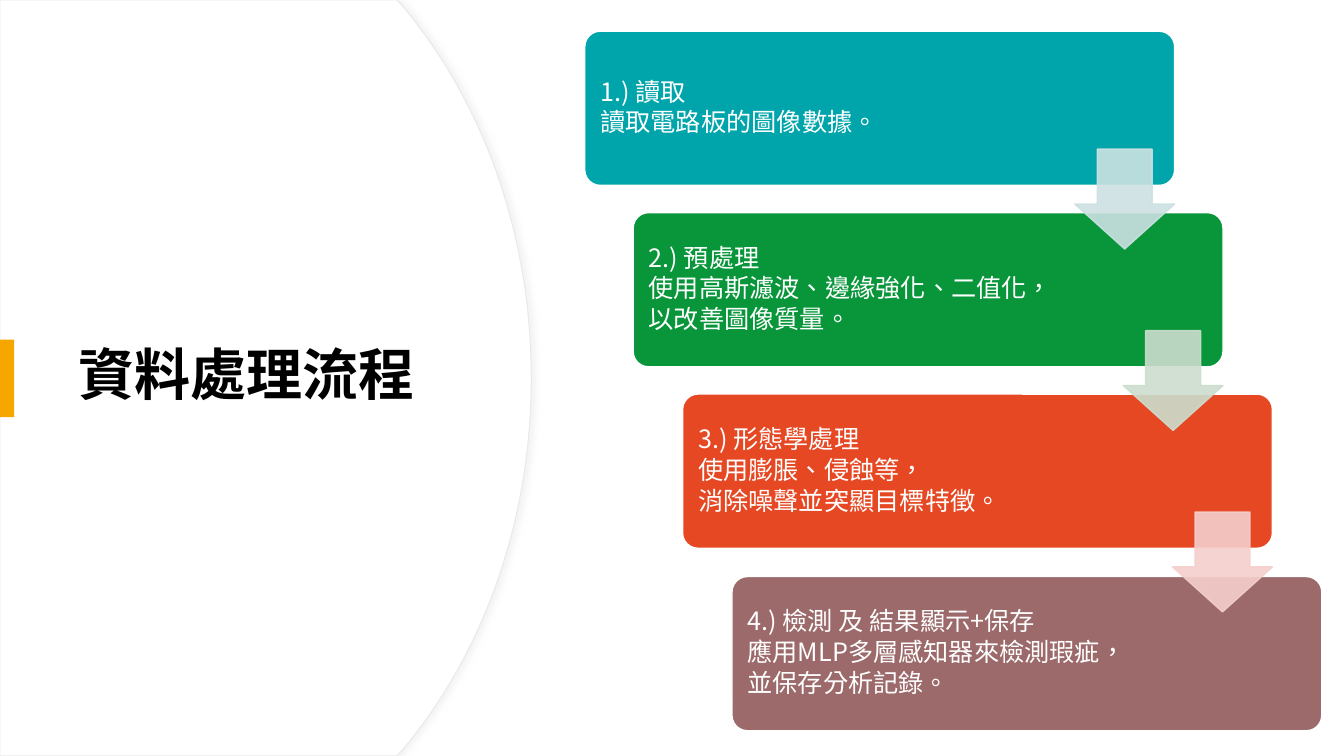
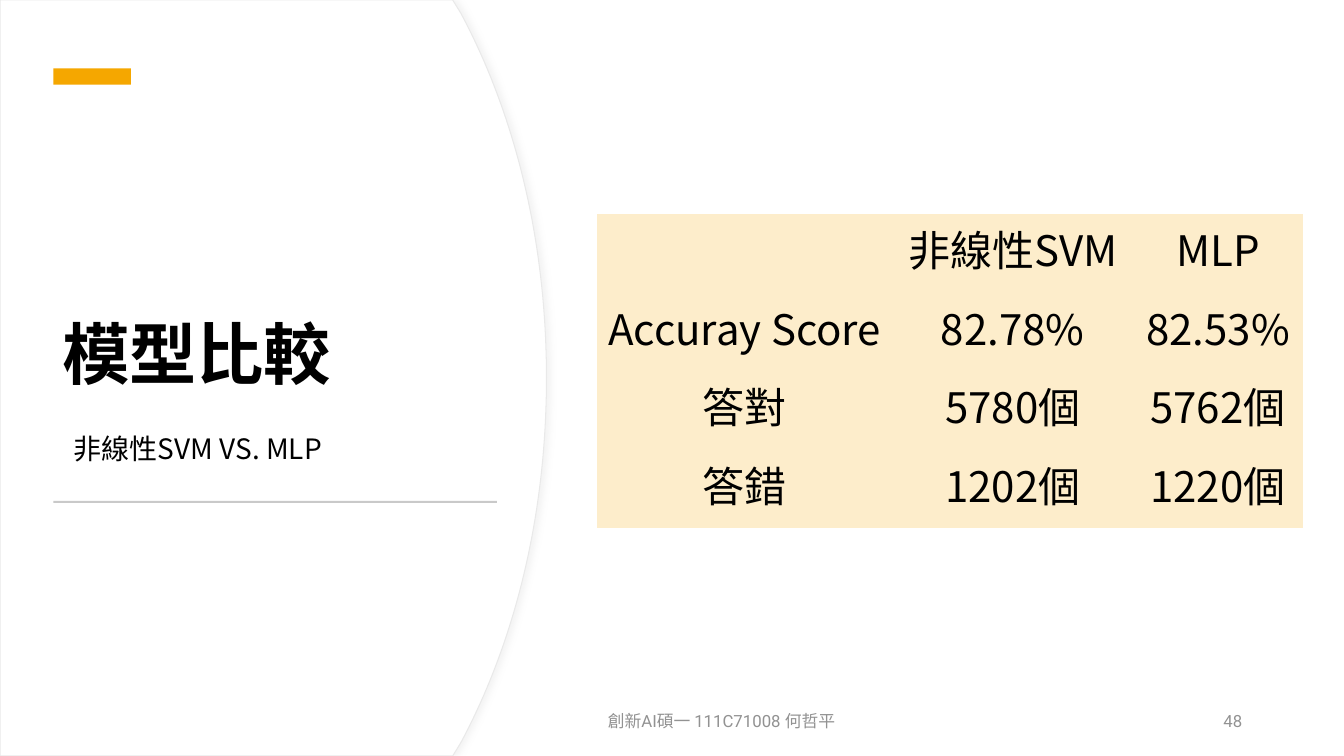
from lxml import etree
from pptx import Presentation
from pptx.dml.color import RGBColor
from pptx.enum import shapes, text
from pptx.oxml.ns import qn
from pptx.util import Pt

PX = 9144
CJK, LATIN = "Noto Sans CJK SC", "Roboto"
WHITE, BLACK = RGBColor(255, 255, 255), RGBColor(0, 0, 0)
ORANGE, CREAM = RGBColor(0xF5, 0xA7, 0x00), RGBColor(0xFD, 0xED, 0xCB)
EDGE, SHADE = RGBColor(0xE9, 0xE9, 0xE9), RGBColor(0xD9, 0xD9, 0xD9)
RULE, GREY = RGBColor(0xC9, 0xC9, 0xC9), RGBColor(0x92, 0x92, 0x92)
TEAL, PALE_TEAL = RGBColor(0x00, 0xA5, 0xAB), RGBColor(0xCC, 0xE1, 0xE2)
GREEN, PALE_GREEN = RGBColor(0x09, 0x96, 0x3B), RGBColor(0xCC, 0xDD, 0xCE)
RED, PALE_RED = RGBColor(0xE6, 0x48, 0x23), RGBColor(0xF5, 0xCF, 0xCD)
MAUVE = RGBColor(0x9C, 0x6A, 0x6A)

MIDDLE, BOTTOM = text.MSO_ANCHOR.MIDDLE, text.MSO_ANCHOR.BOTTOM
LEFT, CENTER, RIGHT = text.PP_ALIGN.LEFT, text.PP_ALIGN.CENTER, text.PP_ALIGN.RIGHT
TITLE = {"bold": True, "color": BLACK}
FOOTER = {"size": Pt(12), "name": LATIN, "color": GREY}
CARD_PARA = {"alignment": LEFT, "line_spacing": 0.9, "space_after": Pt(2.6)}

STEPS = [
    (TEAL, PALE_TEAL, ["1.) 讀取", "讀取電路板的圖像數據。"]),
    (GREEN, PALE_GREEN, ["2.) 預處理", "使用高斯濾波、邊緣強化、二值化，", "以改善圖像質量。"]),
    (RED, PALE_RED, ["3.) 形態學處理", "使用膨脹、侵蝕等，", "消除噪聲並突顯目標特徵。"]),
    (MAUVE, None, ["4.) 檢測 及 結果顯示+保存", "應用MLP多層感知器來檢測瑕疵，", "並保存分析記錄。"]),
]
SCORES = [
    ["", "非線性SVM", "MLP"],
    ["Accuray Score", "82.78%", "82.53%"],
    ["答對", "5780個", "5762個"],
    ["答錯", "1202個", "1220個"],
]


def px(*lengths):
    """Turn lengths in px into EMU."""
    return [round(n * PX) for n in lengths]


def set_all(target, values):
    """Set each named attribute on the target."""
    for name, value in values.items():
        setattr(target, name, value)


def write(tf, lines, font, para):
    """Write one formatted paragraph per line."""
    for i, line in enumerate(lines):
        p = tf.add_paragraph() if i else tf.paragraphs[0]
        set_all(p, para)
        r = p.add_run()
        r.text = line
        set_all(r.font, {k: v for k, v in font.items() if k != "color"})
        r.font.color.rgb = font["color"]
        rpr = r._r.get_or_add_rPr()
        rpr.set("lang", "zh-TW")
        etree.SubElement(rpr, qn("a:ea"), typeface=CJK)


def add_text(s, box, line, font, para=None, anchor=MIDDLE):
    """Add a wrapping one-paragraph text box."""
    tf = s.shapes.add_textbox(*px(*box)).text_frame
    set_all(tf, {"word_wrap": True, "vertical_anchor": anchor})
    write(tf, [line], font, para or {})


def paint(sp, fill, line=None, width=1):
    """Give a shape a flat fill and an optional outline."""
    sp.shadow.inherit = False
    sp.fill.solid()
    sp.fill.fore_color.rgb = fill
    if line is None:
        sp.line.fill.background()
    else:
        sp.line.color.rgb = line
        sp.line.width = Pt(width)
    return sp


def add_shape(s, kind, box, fill, line=None, adjust=()):
    """Add a painted preset shape."""
    sp = s.shapes.add_shape(kind, *px(*box))
    for i, value in enumerate(adjust):
        sp.adjustments[i] = value
    return paint(sp, fill, line)


def add_bar(s, box, fill):
    """Add a plain rectangular accent."""
    add_shape(s, shapes.MSO_SHAPE.RECTANGLE, box, fill)


def bezier(points, t):
    """Return the point at t on a cubic curve."""
    weights = ((1 - t) ** 3, 3 * t * (1 - t) ** 2, 3 * t * t * (1 - t), t ** 3)
    return tuple(sum(w * p[axis] for w, p in zip(weights, points)) for axis in (0, 1))


def add_panel(s, neck, curve):
    """Add the white title panel with its curved, softly shadowed edge."""
    upper = [(neck, 0)] + [bezier(curve, i / 40) for i in range(41)]
    lower = [(x, 750 - y) for x, y in reversed(upper[:-1])]
    builder = s.shapes.build_freeform(0, 0, scale=1)
    builder.add_line_segments([px(*point) for point in upper + lower + [(0, 750)]], close=True)
    sp = paint(builder.convert_to_shape(), WHITE, EDGE, 0.75)
    effects = sp._element.spPr.find(qn("a:effectLst"))
    shadow = etree.SubElement(effects, qn("a:outerShdw"), blurRad=str(Pt(4)),
                              dist=str(Pt(3)), dir="0", algn="l", rotWithShape="0")
    color = etree.SubElement(shadow, qn("a:srgbClr"), val=str(SHADE))
    etree.SubElement(color, qn("a:alpha"), val="30000")


def add_card(s, left, top, fill, lines):
    """Add one rounded process step."""
    sp = add_shape(s, shapes.MSO_SHAPE.ROUNDED_RECTANGLE, (left, top, 585, 153),
                   fill, WHITE, (0.1,))
    tf = sp.text_frame
    set_all(tf, {"word_wrap": True, "vertical_anchor": MIDDLE, "margin_left": 11 * PX})
    write(tf, lines, {"size": Pt(18), "name": CJK, "color": WHITE}, CARD_PARA)


def add_arrow(s, left, top, color):
    """Add a translucent arrow to the next step."""
    sp = add_shape(s, shapes.MSO_SHAPE.DOWN_ARROW, (left, top, 99, 99), color, color)
    sp.adjustments[0], sp.adjustments[1] = 0.55, 0.45
    for clr in sp._element.spPr.iter(qn("a:srgbClr")):
        etree.SubElement(clr, qn("a:alpha"), val="90000")


def add_scores(s, left, top, widths, height):
    """Add the borderless model score table."""
    box = px(left, top, sum(widths), height * len(SCORES))
    table = s.shapes.add_table(len(SCORES), len(widths), *box).table
    set_all(table, {"first_row": False, "horz_banding": False})
    style = table._tbl.tblPr.find(qn("a:tableStyleId"))
    style.text = "{2D5ABB26-0587-4C30-8999-92F81FD0307C}"
    for col, width in zip(table.columns, widths):
        col.width = width * PX
    margins = dict(zip(("margin_left", "margin_top", "margin_right", "margin_bottom"),
                       px(4, 4, 4, 18)))
    for row, values in zip(table.rows, SCORES):
        row.height = height * PX
        for cell, value in zip(row.cells, values):
            set_all(cell, {"vertical_anchor": MIDDLE, **margins})
            cell.fill.solid()
            cell.fill.fore_color.rgb = CREAM
            if value:
                write(cell.text_frame, [value],
                      {"size": Pt(30), "name": CJK, "color": BLACK}, {"alignment": CENTER})


def build_process(s):
    """Build the data processing slide."""
    add_panel(s, 394, [(401, 8), (479, 102), (527, 232), (527, 375)])
    add_text(s, (68, 127, 394, 495), "資料處理流程",
             {**TITLE, "size": Pt(40), "name": CJK}, {"line_spacing": 0.9})
    add_bar(s, (0, 337, 14, 77), ORANGE)
    places = [(580 + 146 * i // 3, 31 + 541 * i // 3) for i in range(len(STEPS))]
    for (left, top), (fill, _, lines) in zip(places, STEPS):
        add_card(s, left, top, fill, lines)
    for (left, top), (_, pale, _) in zip(places[:-1], STEPS):
        add_arrow(s, left + 486, top + 117, pale)


def build_comparison(s):
    """Build the model comparison slide."""
    add_panel(s, 449, [(457, 13), (511, 114), (542, 239), (542, 375)])
    add_text(s, (52, 123, 440, 273), "模型比較",
             {**TITLE, "size": Pt(48), "name": LATIN}, {"line_spacing": 0.9}, BOTTOM)
    add_bar(s, (53, 68, 77, 16), ORANGE)
    add_bar(s, (53, 497, 440, 2), RULE)
    add_text(s, (63, 420, 447, 50), "非線性SVM VS. MLP",
             {"size": Pt(20), "name": CJK, "color": BLACK})
    add_scores(s, 592, 212, (293, 239, 168), 78)
    add_text(s, (593, 695, 450, 40), "創新AI碩一 111C71008 何哲平", FOOTER)
    add_text(s, (1077, 695, 165, 40), "48", FOOTER, {"alignment": RIGHT})


def main():
    """Build and save the presentation."""
    prs = Presentation()
    prs.slide_width, prs.slide_height = px(1333, 750)
    for build in (build_process, build_comparison):
        build(prs.slides.add_slide(prs.slide_layouts[6]))
    prs.save("out.pptx")


if __name__ == "__main__":
    main()
